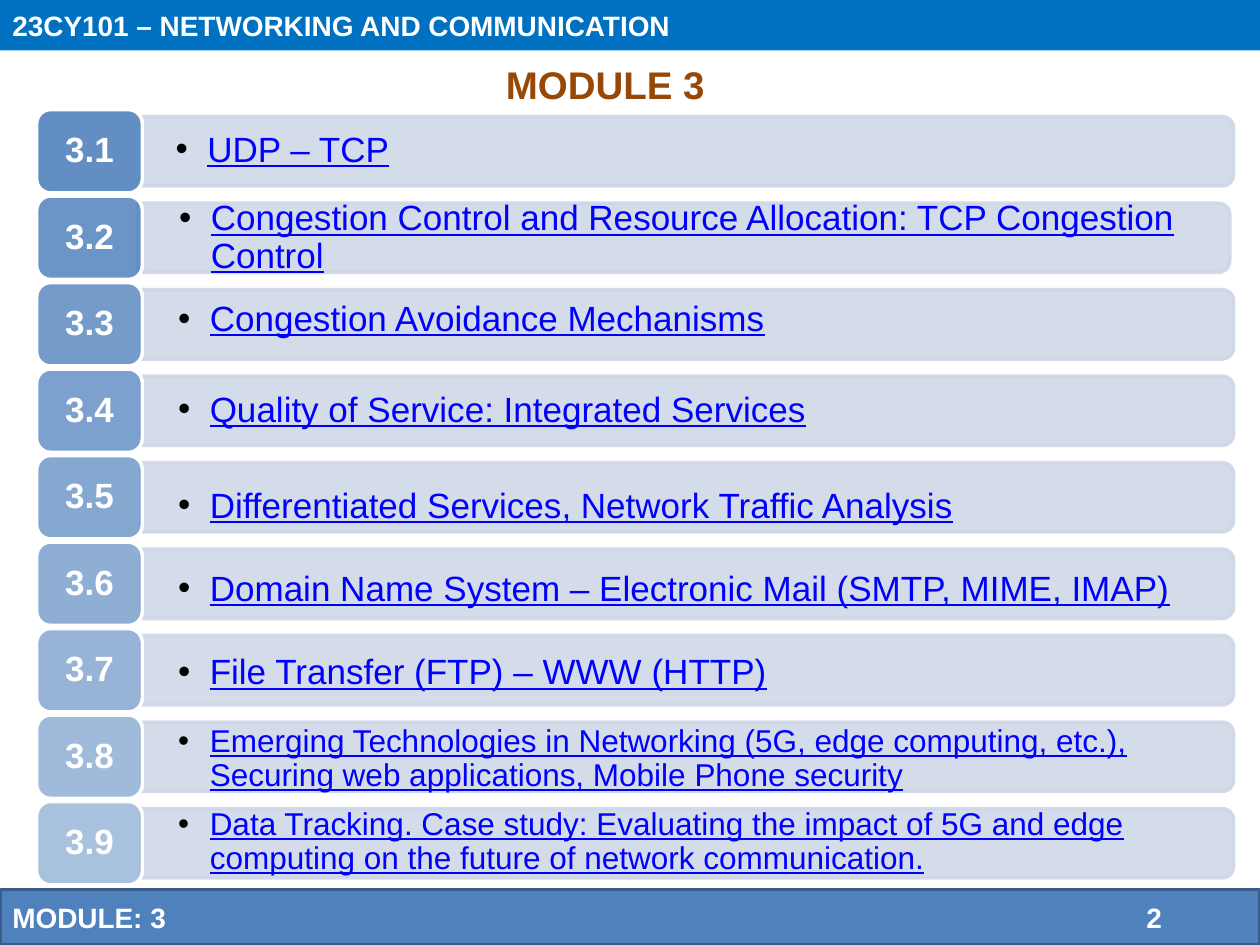
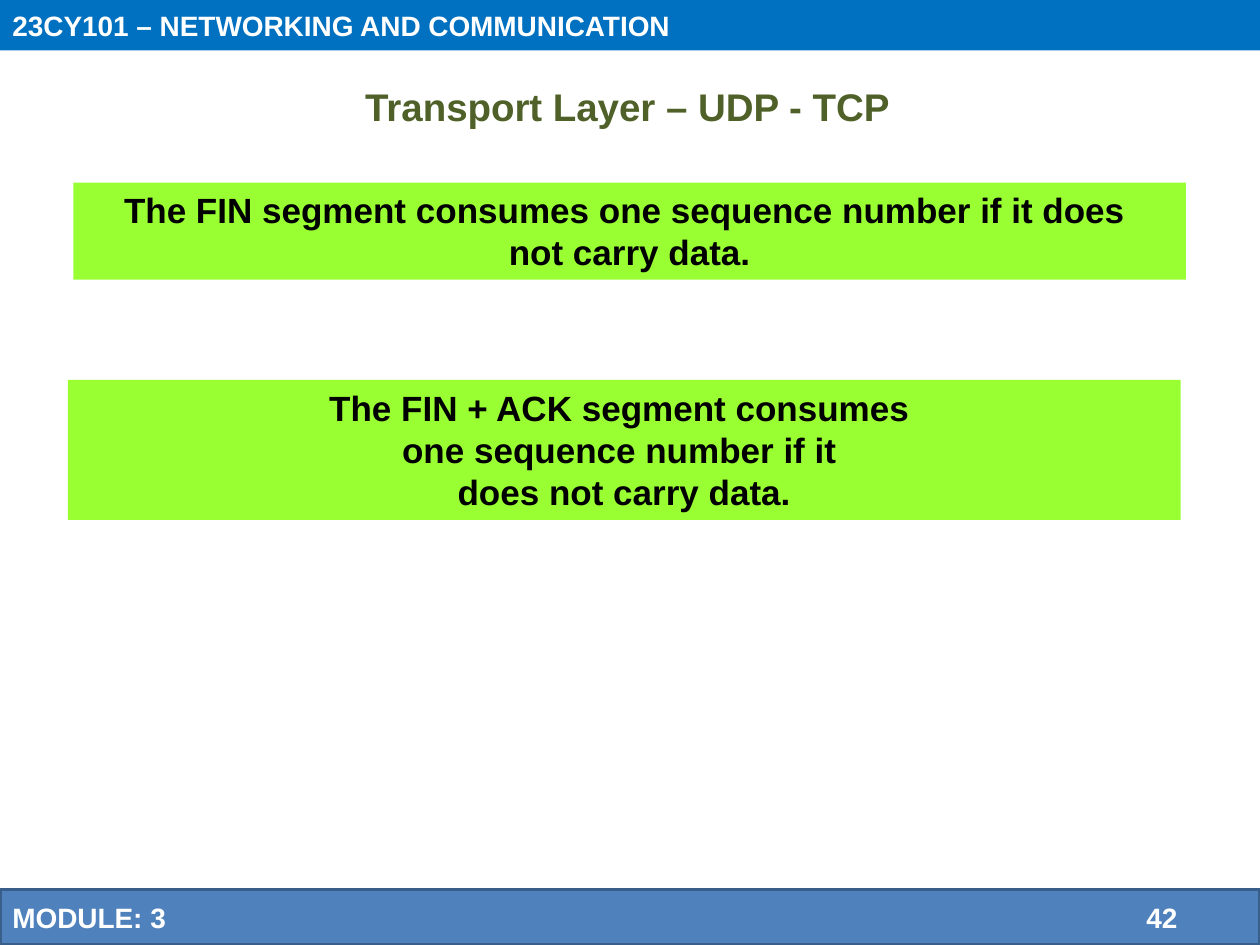
from dataclasses import dataclass

from lxml.etree import SubElement
from pptx import Presentation
from pptx.dml.color import RGBColor
from pptx.enum.shapes import MSO_SHAPE
from pptx.enum.text import MSO_ANCHOR, PP_ALIGN
from pptx.oxml.ns import qn
from pptx.shapes.autoshape import Shape
from pptx.slide import Slide
from pptx.util import Cm, Pt


@dataclass(frozen=True)
class Theme:
    font: str = "Arial"
    header: str = "0070C0"
    accent: str = "4F81BD"
    footer_edge: str = "395E89"
    band: str = "CFD7E7"
    callout: str = "99FF33"
    module_title: str = "974806"
    topic_title: str = "4F6128"
    link: str = "0000FF"
    light: str = "FFFFFF"
    dark: str = "000000"
    title_size: int = 22
    body_size: int = 20
    small_size: int = 18
    frame_size: int = 16
    edge_width: int = 2


THEME = Theme()


@dataclass(frozen=True)
class Box:
    """Left, top, width and height in centimetres."""
    left: float
    top: float
    width: float
    height: float

    def lengths(self) -> tuple[Cm, Cm, Cm, Cm]:
        return Cm(self.left), Cm(self.top), Cm(self.width), Cm(self.height)


@dataclass(frozen=True)
class Topic:
    label: str
    text_top: float
    text_left: float = 2.9
    size: int = THEME.body_size
    band_shift: float = 0


@dataclass(frozen=True)
class Callout:
    statement: str
    box: Box


PAGE_WIDTH, PAGE_HEIGHT = 25.4, 19.05
NUMBER_TAB = 22.86
FIRST_BADGE_TOP, LAST_BADGE_TOP = 2.21, 16.16
BADGE_LEFT, BADGE_WIDTH, BADGE_HEIGHT = 0.74, 2.13, 1.68
BAND_LEFT, BAND_WIDTH, BAND_HEIGHT = 2.85, 22.02, 1.4
CORNER = 0.167

TOPICS = [
    Topic("UDP – TCP", 2.41, text_left=2.85),
    Topic("Congestion Control and Resource Allocation: TCP Congestion Control",
          4.17, text_left=2.92, band_shift=-0.08),
    Topic("Congestion Avoidance Mechanisms", 5.82),
    Topic("Quality of Service: Integrated Services", 7.65),
    Topic("Differentiated Services, Network Traffic Analysis", 9.58),
    Topic("Domain Name System – Electronic Mail (SMTP, MIME, IMAP)", 11.26),
    Topic("File Transfer (FTP) – WWW (HTTP)", 12.94),
    Topic("Emerging Technologies in Networking (5G, edge computing, etc.), "
          "Securing web applications, Mobile Phone security",
          14.67, size=THEME.small_size),
    Topic("Data Tracking. Case study: Evaluating the impact of 5G and edge "
          "computing on the future of network communication.",
          16.34, size=THEME.small_size),
]

CALLOUTS = [
    Callout("The FIN segment consumes one sequence number if it does \n"
            "not carry data.", Box(1.48, 3.68, 22.43, 1.96)),
    Callout("The FIN + ACK segment consumes \none sequence number if it \n"
            "does not carry data.", Box(1.37, 7.66, 22.43, 2.82)),
]


# Shared drawing helpers
def set_alpha(element, percent: float) -> None:
    for color in element.iter(qn("a:srgbClr")):
        SubElement(color, qn("a:alpha"), val=str(int(percent * 1000)))


def add_panel(slide: Slide, kind: MSO_SHAPE, box: Box, fill: str,
              edge: str | None = None, fill_alpha: float = 100,
              edge_alpha: float = 100) -> Shape:
    panel = slide.shapes.add_shape(kind, *box.lengths())
    panel.shadow.inherit = False
    panel.fill.solid()
    panel.fill.fore_color.rgb = RGBColor.from_string(fill)
    if fill_alpha < 100:
        set_alpha(panel.fill._xPr, fill_alpha)
    if edge is None:
        panel.line.fill.background()
    else:
        panel.line.color.rgb = RGBColor.from_string(edge)
        panel.line.width = Pt(THEME.edge_width)
        if edge_alpha < 100:
            set_alpha(panel.line._ln, edge_alpha)
    return panel


def write(holder: Shape, words: str, color: str, size: int,
          align: PP_ALIGN = PP_ALIGN.LEFT, anchor: MSO_ANCHOR = MSO_ANCHOR.MIDDLE,
          insets: tuple[float, float] = (0.25, 0.13), spacing: float = 1.0,
          **font_format: bool):
    side, end = Cm(insets[0]), Cm(insets[1])
    frame_format = {"word_wrap": True, "vertical_anchor": anchor,
                    "margin_left": side, "margin_right": side,
                    "margin_top": end, "margin_bottom": end}
    for name, value in frame_format.items():
        setattr(holder.text_frame, name, value)
    paragraph = holder.text_frame.paragraphs[0]
    paragraph.text = words
    paragraph.alignment = align
    paragraph.line_spacing = spacing
    run_format = {"name": THEME.font, "size": Pt(size), **font_format}
    for run in paragraph.runs:
        for name, value in run_format.items():
            setattr(run.font, name, value)
        run.font.color.rgb = RGBColor.from_string(color)
    return paragraph


def add_title(slide: Slide, title: str, box: Box, color: str,
              align: PP_ALIGN) -> None:
    write(slide.shapes.add_textbox(*box.lengths()), title, color,
          THEME.title_size, align, MSO_ANCHOR.TOP, bold=True)


def add_framed_slide(deck, number: int) -> Slide:
    """Blank slide with the course header and the module footer."""
    slide = deck.slides.add_slide(deck.slide_layouts[6])
    header = add_panel(slide, MSO_SHAPE.RECTANGLE, Box(0, 0, PAGE_WIDTH, 1.02),
                       THEME.header)
    write(header, "23CY101 – NETWORKING AND COMMUNICATION", THEME.light,
          THEME.frame_size, bold=True)
    footer = add_panel(slide, MSO_SHAPE.RECTANGLE,
                       Box(0, 17.93, PAGE_WIDTH, 1.12),
                       THEME.accent, THEME.footer_edge)
    line = write(footer, f"MODULE: 3\t{number}", THEME.light,
                 THEME.frame_size, bold=True)
    tabs = SubElement(line._p.get_or_add_pPr(), qn("a:tabLst"))
    SubElement(tabs, qn("a:tab"), pos=str(Cm(NUMBER_TAB)), algn="l")
    return slide


# Module contents
def add_bullet(paragraph) -> None:
    properties = paragraph._p.get_or_add_pPr()
    properties.set("marL", str(Cm(0.64)))
    properties.set("indent", str(Cm(-0.64)))
    bullet_color = SubElement(properties, qn("a:buClr"))
    SubElement(bullet_color, qn("a:srgbClr"), val=THEME.dark)
    SubElement(properties, qn("a:buFont"), typeface=THEME.font)
    SubElement(properties, qn("a:buChar"), char="•")


def add_topic(slide: Slide, index: int, topic: Topic) -> None:
    pitch = (LAST_BADGE_TOP - FIRST_BADGE_TOP) / (len(TOPICS) - 1)
    badge_top = FIRST_BADGE_TOP + index * pitch
    # The band is upright and turned a quarter, so its right end is rounded
    center_x = BAND_LEFT + topic.band_shift + BAND_WIDTH / 2
    center_y = badge_top + BADGE_HEIGHT / 2
    band = add_panel(
        slide, MSO_SHAPE.ROUND_2_SAME_RECTANGLE,
        Box(center_x - BAND_HEIGHT / 2, center_y - BAND_WIDTH / 2,
            BAND_HEIGHT, BAND_WIDTH),
        THEME.band, THEME.band, fill_alpha=89, edge_alpha=89)
    band.rotation = 90
    band.adjustments[0], band.adjustments[1] = CORNER, 0

    badge = add_panel(slide, MSO_SHAPE.ROUNDED_RECTANGLE,
                      Box(BADGE_LEFT, badge_top, BADGE_WIDTH, BADGE_HEIGHT),
                      THEME.accent, THEME.light, fill_alpha=89 - 5 * index)
    badge.adjustments[0] = CORNER
    write(badge, f"3.{index + 1}", THEME.light, THEME.body_size,
          PP_ALIGN.CENTER, spacing=0.9, bold=True)

    label = slide.shapes.add_textbox(
        *Box(topic.text_left, topic.text_top, 21.97, 1.27).lengths())
    add_bullet(write(label, topic.label, THEME.link, topic.size,
                     insets=(0.69, 0.36), spacing=0.9, underline=True))


def build_contents(deck) -> None:
    slide = add_framed_slide(deck, 2)
    add_title(slide, "MODULE 3", Box(9.95, 1.09, 4.6, 1.19),
              THEME.module_title, PP_ALIGN.LEFT)
    for index, topic in enumerate(TOPICS):
        add_topic(slide, index, topic)


# Connection termination rules
def build_termination(deck) -> None:
    slide = add_framed_slide(deck, 42)
    add_title(slide, "Transport Layer – UDP - TCP", Box(0.1, 1.55, 25.1, 2.13),
              THEME.topic_title, PP_ALIGN.CENTER)
    for callout in CALLOUTS:
        panel = add_panel(slide, MSO_SHAPE.RECTANGLE, callout.box, THEME.callout)
        write(panel, callout.statement, THEME.dark, THEME.body_size,
              PP_ALIGN.CENTER, MSO_ANCHOR.TOP, bold=True)


def main() -> None:
    deck = Presentation()
    deck.slide_width, deck.slide_height = Cm(PAGE_WIDTH), Cm(PAGE_HEIGHT)
    build_contents(deck)
    build_termination(deck)
    deck.save("out.pptx")


if __name__ == "__main__":
    main()
